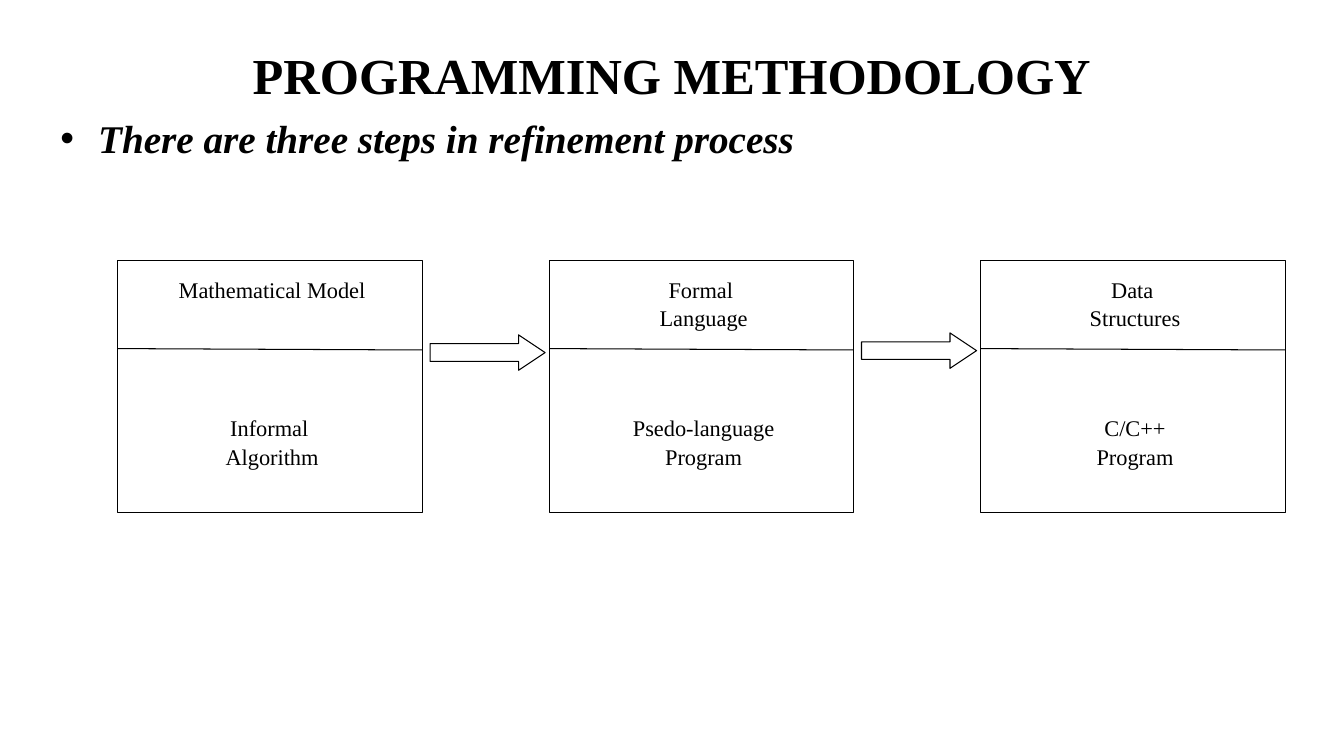
from pptx import Presentation
from pptx.dml.color import RGBColor
from pptx.enum.shapes import MSO_CONNECTOR, MSO_SHAPE
from pptx.enum.text import MSO_ANCHOR, MSO_AUTO_SIZE, PP_ALIGN
from pptx.oxml.ns import qn
from pptx.util import Pt
from lxml import etree

PROCESS = MSO_SHAPE.FLOWCHART_PROCESS
RIGHT_ARROW = MSO_SHAPE.RIGHT_ARROW
STRAIGHT = MSO_CONNECTOR.STRAIGHT
CENTER, LEFT = PP_ALIGN.CENTER, PP_ALIGN.LEFT
TOP, MIDDLE = MSO_ANCHOR.TOP, MSO_ANCHOR.MIDDLE
NO_AUTOFIT = MSO_AUTO_SIZE.NONE

FONT = "Times New Roman"
BLACK, WHITE = "000000", "FFFFFF"

STAGES = [
    (["Mathematical Model"], ["Informal ", "Algorithm"]),
    (["Formal ", "Language"], ["Psedo-language", "Program"]),
    (["Data ", "Structures"], ["C/C++", "Program"]),
]
STAGE_PITCH = 308.2
ARROW_TOPS = [53.2, 51.8]


def color(hex_string):
    return RGBColor.from_string(hex_string)


def write(shape, lines, size, align, anchor, bold=False, italic=False):
    """Fill a shape with one paragraph, one run for each line."""
    frame = shape.text_frame
    frame.word_wrap = True
    frame.auto_size = NO_AUTOFIT
    frame.vertical_anchor = anchor
    paragraph = frame.paragraphs[0]
    paragraph.alignment = align
    for index, line in enumerate(lines):
        if index:
            paragraph.add_line_break()
        run = paragraph.add_run()
        run.text = line
        font = run.font
        font.name, font.size = FONT, Pt(size)
        font.bold, font.italic = bold, italic
        font.color.rgb = color(BLACK)
    return paragraph


def add_outlined(shapes, kind, left, top, width, height):
    shape = shapes.add_shape(kind, Pt(left), Pt(top), Pt(width), Pt(height))
    shape.shadow.inherit = False
    shape.fill.solid()
    shape.fill.fore_color.rgb = color(WHITE)
    shape.line.color.rgb = color(BLACK)
    shape.line.width = Pt(0.75)
    return shape


def add_title(slide, left, top, width, height):
    title = slide.shapes.title
    title.left, title.top = Pt(left), Pt(top)
    title.width, title.height = Pt(width), Pt(height)
    write(title, ["PROGRAMMING METHODOLOGY"], 36, CENTER, MIDDLE, bold=True)


def add_bullet(slide, left, top, width, height):
    box = slide.shapes.add_textbox(Pt(left), Pt(top), Pt(width), Pt(height))
    paragraph = write(box, ["There are three steps in refinement process"],
                      28, LEFT, TOP, bold=True, italic=True)
    paragraph.space_before = Pt(5.6)
    # Hanging bullet
    properties = paragraph._p.get_or_add_pPr()
    properties.set("marL", str(Pt(27)))
    properties.set("indent", str(Pt(-27)))
    etree.SubElement(properties, qn("a:buFont")).set("typeface", "Arial")
    etree.SubElement(properties, qn("a:buChar")).set("char", "•")


def add_label(shapes, lines, left, top, width, height):
    label = shapes.add_shape(PROCESS, Pt(left), Pt(top), Pt(width), Pt(height))
    label.shadow.inherit = False
    label.fill.background()
    label.line.fill.background()
    paragraph = write(label, lines, 16, CENTER, TOP)
    paragraph.line_spacing = 1.05
    paragraph.space_after = Pt(10)


def add_stage(shapes, model, program, left, top, width, height):
    add_outlined(shapes, PROCESS, left, top, width, height)
    # Upper and lower labels
    for lines, offset in ((model, 6.5), (program, 105.6)):
        add_label(shapes, lines, left + 9.4, top + offset, width - 15.8, 62)
    # Divider, slightly sloped
    divider = shapes.add_connector(STRAIGHT, Pt(left), Pt(top + 63),
                                   Pt(left + width), Pt(top + 64))
    divider.line.color.rgb = color(BLACK)
    divider.line.width = Pt(0.75)
    etree.SubElement(divider._element.spPr, qn("a:effectLst"))


def add_refinement_diagram(slide, left, top, stage_width, height):
    shapes = slide.shapes.add_group_shape().shapes
    for index, (model, program) in enumerate(STAGES):
        add_stage(shapes, model, program, left + index * STAGE_PITCH, top,
                  stage_width, height)
    # Arrows between neighbouring stages
    for index, offset in enumerate(ARROW_TOPS):
        arrow_left = left + index * STAGE_PITCH + stage_width + 5.5
        arrow = add_outlined(shapes, RIGHT_ARROW, arrow_left, top + offset,
                             82.2, 25.3)
        arrow.adjustments[0] = 0.5
        arrow.adjustments[1] = 0.75


def main():
    presentation = Presentation()
    presentation.slide_width, presentation.slide_height = Pt(960), Pt(540)
    title_only = presentation.slide_layouts[5]
    slide = presentation.slides.add_slide(title_only)
    add_title(slide, 156, 21.6, 648, 62.6)
    add_bullet(slide, 36, 78, 888, 404.6)
    add_refinement_diagram(slide, 84, 186, 217.7, 180)
    presentation.save("out.pptx")


if __name__ == "__main__":
    main()
